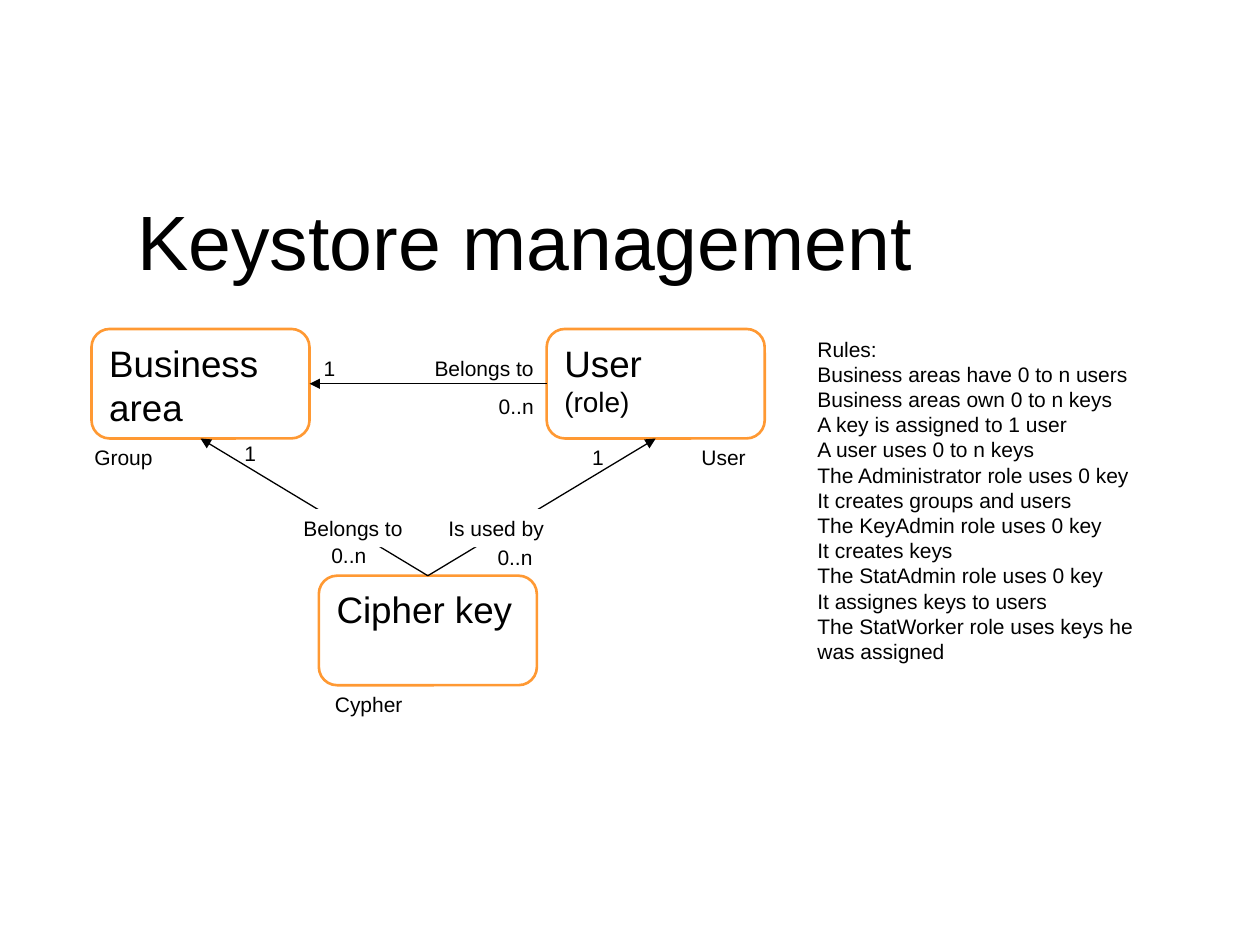
from lxml.etree import SubElement
from pptx import Presentation
from pptx.dml.color import RGBColor
from pptx.enum.shapes import MSO_CONNECTOR, MSO_SHAPE
from pptx.enum.text import MSO_ANCHOR, MSO_AUTO_SIZE, PP_ALIGN
from pptx.oxml.ns import qn
from pptx.util import Pt

BLACK = RGBColor(0, 0, 0)
WHITE = RGBColor(255, 255, 255)
ORANGE = RGBColor(0xFF, 0x99, 0x33)
BOX_WIDTH, BOX_HEIGHT = 124.6, 62.6
LABEL_HEIGHT = 21.8
TOP, LEFT, BOTTOM, RIGHT = range(4)  # connection sites of a box


def write(holder, lines, **frame_format):
    """Fill a text frame with (text, size) lines, aligned left."""
    frame = holder.text_frame
    for key, value in frame_format.items():
        setattr(frame, key, value)
    for index, (text, size) in enumerate(lines):
        paragraph = frame.add_paragraph() if index else frame.paragraphs[0]
        paragraph.alignment = PP_ALIGN.LEFT
        run = paragraph.add_run()
        run.text = text
        font_format = {"name": "Arial", "size": Pt(size)}
        for key, value in font_format.items():
            setattr(run.font, key, value)
        run.font.color.rgb = BLACK


presentation = Presentation()
presentation.slide_width, presentation.slide_height = Pt(720), Pt(540)
slide = presentation.slides.add_slide(presentation.slide_layouts[5])
shapes = slide.shapes

# Title
title = shapes.title
title.left, title.top, title.width, title.height = Pt(71.3), Pt(94.3), Pt(587.5), Pt(73.4)
write(title, [("Keystore management", 44)], word_wrap=True,
      vertical_anchor=MSO_ANCHOR.BOTTOM, auto_size=MSO_AUTO_SIZE.NONE)
title.text_frame.paragraphs[0].line_spacing = 0.9

# Entities
entities = {}
for entity, left, top, lines in [
    ("user", 312.4, 188, [("User", 21), ("(role)", 16)]),
    ("area", 52.3, 188, [("Business area", 21)]),
    ("key", 182.2, 329, [("Cipher key", 21)]),
]:
    box = shapes.add_shape(MSO_SHAPE.ROUNDED_RECTANGLE, Pt(left), Pt(top),
                           Pt(BOX_WIDTH), Pt(BOX_HEIGHT))
    box.shadow.inherit = False
    box.fill.background()
    box.line.color.rgb = ORANGE
    box.line.width = Pt(1.5)
    write(box, lines, word_wrap=True, vertical_anchor=MSO_ANCHOR.TOP)
    entities[entity] = box

# Relations between entities
for source, source_site, target, target_site in [
    ("key", TOP, "area", BOTTOM),
    ("user", LEFT, "area", RIGHT),
    ("key", TOP, "user", BOTTOM),
]:
    relation = shapes.add_connector(MSO_CONNECTOR.STRAIGHT, 0, 0, 0, 0)
    relation.begin_connect(entities[source], source_site)
    relation.end_connect(entities[target], target_site)
    relation.line.color.rgb = BLACK
    relation.line.width = Pt(0.75)
    SubElement(relation.line._get_or_add_ln(), qn("a:tailEnd"), type="triangle")
    SubElement(relation._element.spPr, qn("a:effectLst"))

# Entity names, relation names and cardinalities
for text, left, top, width, covers_line in [
    ("Group", 46.8, 250.6, 48.2, False),
    ("User", 393.8, 250.6, 40.3, False),
    ("Cypher", 184.3, 391.7, 53.3, False),
    ("Belongs to", 241.2, 199.4, 71.3, False),
    ("1", 177.8, 199.4, 20.9, False),
    ("0..n", 277.9, 221.5, 34.6, False),
    ("Belongs to", 166.3, 290.9, 71.3, True),
    ("1", 132.5, 248.4, 20.9, False),
    ("0..n", 182.2, 306.7, 34.6, False),
    ("Is used by", 249.1, 290.9, 69.8, True),
    ("1", 331.2, 250.6, 20.9, False),
    ("0..n", 277.2, 307.8, 34.6, False),
]:
    label = shapes.add_textbox(Pt(left), Pt(top), Pt(width), Pt(LABEL_HEIGHT))
    if covers_line:
        label.fill.solid()
        label.fill.fore_color.rgb = WHITE
    write(label, [(text, 12)], word_wrap=False,
          auto_size=MSO_AUTO_SIZE.SHAPE_TO_FIT_TEXT)

# Rules
rules = [
    "Rules:",
    "Business areas have 0 to n users",
    "Business areas own 0 to n keys",
    "A key is assigned to 1 user",
    "A user uses 0 to n keys",
    "The Administrator role uses 0 key",
    "It creates groups and users",
    "The KeyAdmin role uses 0 key",
    "It creates keys",
    "The StatAdmin role uses 0 key",
    "It assignes keys to users",
    "The StatWorker role uses keys he was assigned",
]
rules_box = shapes.add_textbox(Pt(460), Pt(188.6), Pt(214.6), Pt(196.6))
write(rules_box, [(rule, 12) for rule in rules], word_wrap=True,
      auto_size=MSO_AUTO_SIZE.SHAPE_TO_FIT_TEXT)

presentation.save("out.pptx")
